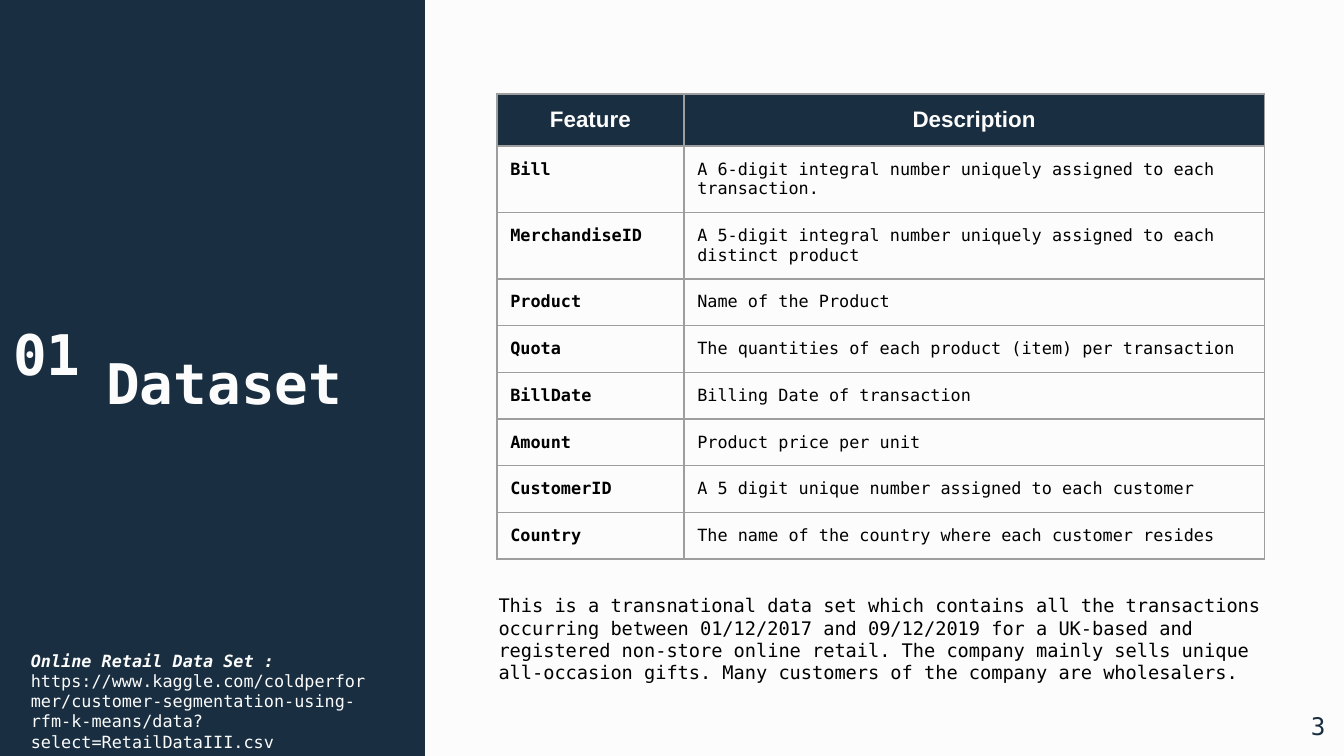
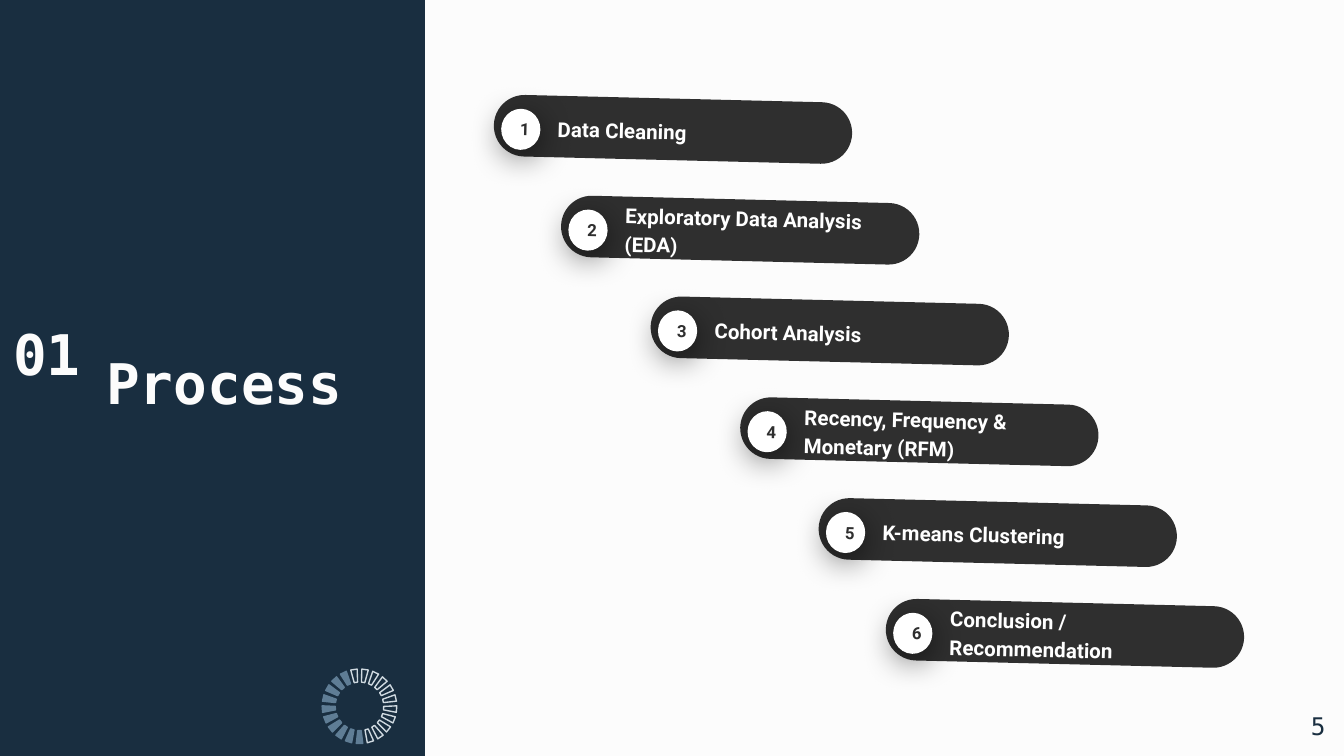
from math import cos, radians, sin

from lxml.etree import SubElement
from pptx import Presentation
from pptx.dml.color import RGBColor
from pptx.enum.shapes import MSO_SHAPE
from pptx.enum.text import MSO_ANCHOR, MSO_AUTO_SIZE, PP_ALIGN
from pptx.oxml.ns import qn
from pptx.util import Pt

NAVY, PAPER, BLACK, WHITE = "192E40", "FCFCFC", "000000", "FFFFFF"
CHARCOAL, GRID_GREY, RING_BLUE, RING_PALE = "2F2F2F", "9E9E9E", "5F7D95", "CFD9E0"
MONO, HEADING, ROUND = "DejaVu Sans Mono", "Arial", "Roboto"


def paint(fill, colour):
    """Make any fill (shape, line, font or background) solid in a hex colour."""
    fill.solid()
    fill.fore_color.rgb = RGBColor.from_string(colour)


def write(frame, runs, size, colour, font=MONO, align=PP_ALIGN.LEFT,
          anchor=MSO_ANCHOR.TOP, spacing=1.0):
    """Fill a text frame with one paragraph of (text, bold, italic) runs."""
    frame.word_wrap = True
    frame.auto_size = MSO_AUTO_SIZE.NONE
    frame.vertical_anchor = anchor
    frame.margin_left = frame.margin_right = Pt(7.2)
    frame.margin_top = frame.margin_bottom = Pt(7.2)
    para = frame.paragraphs[0]
    para.alignment = align
    para.line_spacing = spacing
    for text, bold, italic in runs:
        span = para.add_run()
        span.text = text
        span.font.name = font
        span.font.size = Pt(size)
        span.font.bold = bold
        span.font.italic = italic
        paint(span.font.fill, colour)


deck = Presentation()
deck.slide_width, deck.slide_height = Pt(720), Pt(405)
paint(deck.slide_master.background.fill, PAPER)
layout = deck.slide_layouts.get_by_name("Title Only")

# Shared frame: section number, title and page number
pages = []
for title_text, page_number in (("Dataset", "3"), ("Process", "5")):
    page = deck.slides.add_slide(layout)
    pages.append(page)
    number_box = page.shapes.add_textbox(Pt(0), Pt(158.4), Pt(227.5), Pt(88))
    write(number_box.text_frame, [("01", True, False)], 30, PAPER, spacing=1.15)
    title = page.shapes.title
    title.left, title.top, title.width, title.height = Pt(49.7), Pt(134.6), Pt(157.7), Pt(135.4)
    write(title.text_frame, [(title_text, True, False)], 30, PAPER,
          anchor=MSO_ANCHOR.MIDDLE, spacing=1.15)
    page_box = page.shapes.add_textbox(Pt(674), Pt(373.7), Pt(43.2), Pt(31))
    write(page_box.text_frame, [(page_number, False, False)], 13, NAVY, align=PP_ALIGN.RIGHT)

dataset_page, process_page = pages

# The side band belongs to the layout, behind everything
band = dataset_page.shapes.add_shape(MSO_SHAPE.RECTANGLE, Pt(-9.4), Pt(-6.5), Pt(237), Pt(417.6))
band.shadow.inherit = False
paint(band.fill, NAVY)
band.line.fill.background()
layout.shapes.element.insert(2, band.element)

# Dataset: feature table
features = [
    ("Feature", "Description"),
    ("Bill", "A 6-digit integral number uniquely assigned to each transaction."),
    ("MerchandiseID", "A 5-digit integral number uniquely assigned to each distinct product"),
    ("Product", "Name of the Product"),
    ("Quota", "The quantities of each product (item) per transaction"),
    ("BillDate", "Billing Date of transaction"),
    ("Amount", "Product price per unit"),
    ("CustomerID", "A 5 digit unique number assigned to each customer"),
    ("Country", "The name of the country where each customer resides"),
]
table = dataset_page.shapes.add_table(
    len(features), 2, Pt(266.2), Pt(50.4), Pt(411.2), Pt(216.7)).table
table.first_row = table.horz_banding = False
table.columns[0].width, table.columns[1].width = Pt(100.2), Pt(311)
for row_index, row_texts in enumerate(features):
    is_header = row_index == 0
    table.rows[row_index].height = Pt(26.7 if is_header else 23.75)
    for column_index, text in enumerate(row_texts):
        cell = table.cell(row_index, column_index)
        cell.margin_left = cell.margin_right = Pt(7.2)
        cell.margin_top = cell.margin_bottom = Pt(7.2)
        properties = cell._tc.get_or_add_tcPr()
        for side in ("a:lnL", "a:lnR", "a:lnT", "a:lnB"):
            border = SubElement(properties, qn(side), w=str(Pt(0.75)))
            SubElement(SubElement(border, qn("a:solidFill")), qn("a:srgbClr"), val=GRID_GREY)
        if is_header:
            paint(cell.fill, NAVY)
            write(cell.text_frame, [(text, True, False)], 12, PAPER, HEADING, PP_ALIGN.CENTER)
        else:
            cell.fill.background()
            write(cell.text_frame, [(text, column_index == 0, False)], 9, BLACK)

source_box = dataset_page.shapes.add_textbox(Pt(9.4), Pt(341.3), Pt(198), Pt(58.3))
write(source_box.text_frame, [
    ("Online Retail Data Set : ", True, True),
    ("https://www.kaggle.com/coldperformer/customer-segmentation-using-rfm-k-means"
     "/data?select=RetailDataIII.csv", False, False),
], 9, PAPER)

summary_box = dataset_page.shapes.add_textbox(Pt(260), Pt(311), Pt(428.4), Pt(51))
write(summary_box.text_frame, [(
    "This is a transnational data set which contains all the transactions occurring between "
    "01/12/2017 and 09/12/2019 for a UK-based and registered non-store online retail. "
    "The company mainly sells unique all-occasion gifts. "
    "Many customers of the company are wholesalers.", False, False)], 10, BLACK)

# Process: six tilted steps going down to the right
steps = [
    (268.5, "Data Cleaning"),
    (304.5, "Exploratory Data Analysis (EDA)"),
    (352.5, "Cohort Analysis"),
    (400.5, "Recency, Frequency & Monetary (RFM)"),
    (442.5, "K-means Clustering"),
    (478.5, "Conclusion / Recommendation"),
]
TILT = 1.4
for step_index, (left, label) in enumerate(steps):
    top = 58.3 + 54 * step_index
    step = process_page.shapes.add_group_shape().shapes

    bar = step.add_shape(MSO_SHAPE.ROUNDED_RECTANGLE,
                         Pt(left + 75.5), Pt(top - 85), Pt(33), Pt(192))
    bar.adjustments[0] = 0.5
    bar.rotation = 90 + TILT
    bar.shadow.inherit = False
    paint(bar.fill, CHARCOAL)
    bar.line.fill.background()

    badge = step.add_shape(MSO_SHAPE.OVAL, Pt(left), Pt(top), Pt(21), Pt(22))
    badge.rotation = TILT
    badge.shadow.inherit = False
    paint(badge.fill, WHITE)
    badge.line.fill.background()
    effects = badge.element.spPr.find(qn("a:effectLst"))
    shadow = SubElement(effects, qn("a:outerShdw"), blurRad=str(Pt(18)), dist=str(Pt(4)),
                        dir="5400000", algn="bl", rotWithShape="0")
    shadow_colour = SubElement(shadow, qn("a:srgbClr"), val=BLACK)
    SubElement(shadow_colour, qn("a:alpha"), val="55000")
    write(badge.text_frame, [(str(step_index + 1), True, False)], 9, CHARCOAL, ROUND,
          anchor=MSO_ANCHOR.MIDDLE)

    label_box = step.add_textbox(Pt(left + 23.2), Pt(top), Pt(152), Pt(23))
    label_box.rotation = TILT
    write(label_box.text_frame, [(label, True, False)], 11, WHITE, ROUND,
          anchor=MSO_ANCHOR.MIDDLE, spacing=1.15)

# Progress ring: outlined wedges first, then filled ones, clockwise from the top
WEDGES, OUTLINED = 21, 11
CENTRE_X, CENTRE_Y, INNER, OUTER = 192.6, 378.4, 13, 20
ring = process_page.shapes.add_group_shape().shapes
for wedge_index in range(WEDGES):
    middle = 360 / WEDGES * (wedge_index - 0.5)
    corners = [
        (Pt(CENTRE_X + radius * sin(radians(middle + offset))),
         Pt(CENTRE_Y - radius * cos(radians(middle + offset))))
        for radius, offset in ((INNER, -4), (OUTER, -5), (OUTER, 5), (INNER, 4))
    ]
    outline = ring.build_freeform(*corners[0])
    outline.add_line_segments(corners[1:], close=True)
    wedge = outline.convert_to_shape()
    wedge.shadow.inherit = False
    wedge.line.width = Pt(0.75)
    if wedge_index < OUTLINED:
        wedge.fill.background()
        paint(wedge.line.fill, RING_PALE)
    else:
        paint(wedge.fill, RING_BLUE)
        paint(wedge.line.fill, RING_BLUE)

deck.save("out.pptx")
